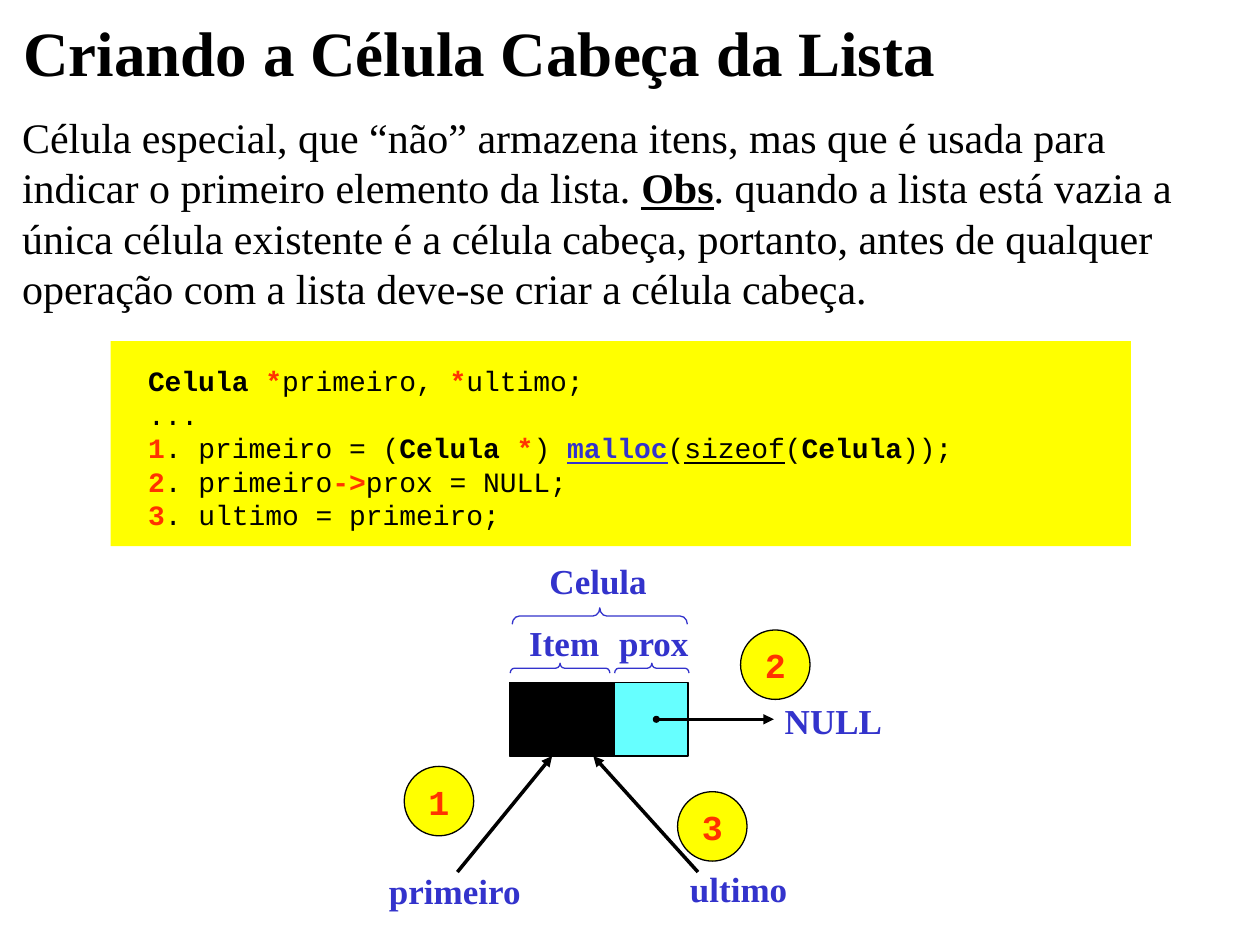
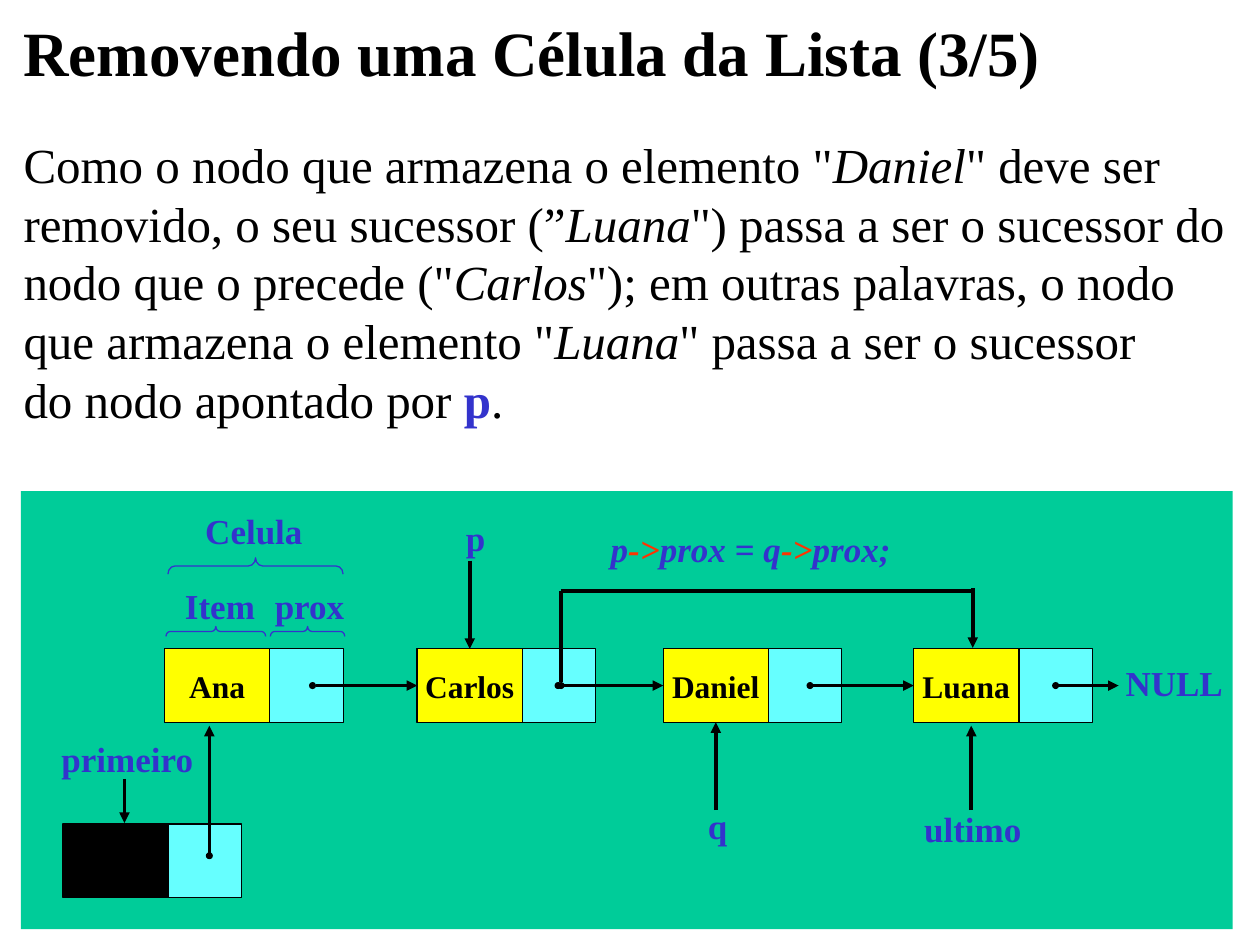
from pptx import Presentation
from pptx.dml.color import RGBColor
from pptx.enum.shapes import MSO_CONNECTOR, MSO_SHAPE
from pptx.enum.text import MSO_ANCHOR, MSO_AUTO_SIZE, PP_ALIGN
from pptx.oxml.ns import qn
from pptx.util import Cm, Pt
from lxml import etree

RECT, OVAL, BRACE = MSO_SHAPE.RECTANGLE, MSO_SHAPE.OVAL, MSO_SHAPE.LEFT_BRACE
LEFT, CENTER = PP_ALIGN.LEFT, PP_ALIGN.CENTER
TOP, MIDDLE = MSO_ANCHOR.TOP, MSO_ANCHOR.MIDDLE
GROW, FIXED = MSO_AUTO_SIZE.SHAPE_TO_FIT_TEXT, MSO_AUTO_SIZE.NONE
STRAIGHT = MSO_CONNECTOR.STRAIGHT
SIDE_TOP, SIDE_LEFT, SIDE_BOTTOM = 0, 1, 2

BLACK = RGBColor(0x00, 0x00, 0x00)
BLUE = RGBColor(0x33, 0x33, 0xCC)
RED = RGBColor(0xFF, 0x33, 0x00)
YELLOW = RGBColor(0xFF, 0xFF, 0x00)
CYAN = RGBColor(0x66, 0xFF, 0xFF)
GREEN = RGBColor(0x00, 0xCC, 0x99)
RUN_COLORS = {"red": RED, "blue": BLUE}

SERIF, MONO = "Times New Roman", "Courier New"
LINE_PITCH = 1.2
ITEM_W, PROX_W, CELL_H = 2.12, 1.48, 1.48
LABEL_H = 1.12
END_SIZES = {"oval": "sm", "triangle": "med"}


def add_runs(paragraph, runs, size, font=SERIF, color=BLACK, style=""):
    """Each run is a string or (string, style words: b, i, u, red, blue)."""
    for run_spec in runs:
        text, own_style = (run_spec, "") if isinstance(run_spec, str) else run_spec
        words = f"{style} {own_style}".split()
        run = paragraph.add_run()
        run.text = text
        run.font.name, run.font.size = font, Pt(size)
        run.font.bold, run.font.italic = "b" in words, "i" in words
        run.font.underline = "u" in words
        run.font.color.rgb = next(
            (RUN_COLORS[w] for w in words if w in RUN_COLORS), color)


def prepare_frame(shape, anchor=TOP, auto_size=GROW):
    frame = shape.text_frame
    frame.word_wrap = False
    frame.auto_size = auto_size
    frame.vertical_anchor = anchor
    return frame


def place(shape, x, y, width, height):
    shape.left, shape.top = Cm(x), Cm(y)
    shape.width, shape.height = Cm(width), Cm(height)


def add_titled_slide(prs, title):
    slide = prs.slides.add_slide(prs.slide_layouts[1])
    heading = slide.shapes.title
    place(heading, 0.22, 0.44, 22, 1.47)
    paragraph = prepare_frame(heading).paragraphs[0]
    paragraph.alignment = LEFT
    paragraph.line_spacing, paragraph.space_before = 0.8, Pt(6)
    add_runs(paragraph, [title], 36, style="b")
    return slide


def add_body_lines(frame, lines, size, font=SERIF, indent=0, gap_before=0):
    for number, runs in enumerate(lines):
        is_first = not frame.paragraphs[0].runs
        paragraph = frame.paragraphs[0] if is_first else frame.add_paragraph()
        paragraph.alignment = LEFT
        paragraph.line_spacing = Pt(size * LINE_PITCH)
        paragraph.space_before = Pt(0 if number else gap_before)
        properties = paragraph._p.get_or_add_pPr()
        properties.set("marL", str(Cm(indent)))
        properties.set("indent", "0")
        etree.SubElement(properties, qn("a:buNone"))
        add_runs(paragraph, runs, size, font)


def add_body(slide, x, y, width, height):
    body = slide.placeholders[1]
    place(body, x, y, width, height)
    return prepare_frame(body)


def add_box(slide, kind, x, y, width, height, fill=None, line=BLACK):
    box = slide.shapes.add_shape(kind, Cm(x), Cm(y), Cm(width), Cm(height))
    box.shadow.inherit = False
    if fill is None:
        box.fill.background()
    else:
        box.fill.solid()
        box.fill.fore_color.rgb = fill
    if line is None:
        box.line.fill.background()
    else:
        box.line.color.rgb = line
        box.line.width = Pt(0.75)
    return box


def add_panel(slide, x, y, width, height, fill):
    """Coloured area that lies behind everything else."""
    panel = add_box(slide, RECT, x, y, width, height, fill, line=None)
    slide.shapes._spTree.insert(2, panel._element)


def write_centred(box, text, size, font=SERIF, color=BLACK):
    paragraph = prepare_frame(box, MIDDLE, FIXED).paragraphs[0]
    paragraph.alignment = CENTER
    add_runs(paragraph, [text], size, font, color, "b")


def add_label(slide, runs, x, y, width, align=LEFT, style="b"):
    label = slide.shapes.add_textbox(Cm(x), Cm(y), Cm(width), Cm(LABEL_H))
    paragraph = prepare_frame(label).paragraphs[0]
    paragraph.alignment = align
    paragraph.line_spacing = Pt(20 * LINE_PITCH)
    add_runs(paragraph, runs, 20, color=BLUE, style=style)


def add_step(slide, number, x, y):
    circle = add_box(slide, OVAL, x, y, 1.4, 1.4, YELLOW)
    write_centred(circle, number, 20, MONO, RED)


def add_cell(slide, x, y, item_fill=YELLOW, name=None):
    """Draw an item field and its prox field; return the item field."""
    add_box(slide, RECT, x + ITEM_W, y, PROX_W, CELL_H, CYAN)
    item = add_box(slide, RECT, x, y, ITEM_W, CELL_H, item_fill)
    if name:
        write_centred(item, name, 18)
    return item


def add_brace(slide, center_x, center_y, span, depth):
    """Horizontal brace that points up."""
    brace = add_box(slide, BRACE, center_x - depth / 2, center_y - span / 2,
                    depth, span, line=BLUE)
    brace.adjustments[0] = 0.43
    brace.rotation = 90


def add_cell_legend(slide, x, celula_y, fields_y):
    """Name the cell that starts at x, and its two fields."""
    add_label(slide, ["Celula"], x + 0.29, celula_y, 3, CENTER)
    add_label(slide, ["Item"], x - 0.15, fields_y, 2.51, CENTER)
    add_label(slide, ["prox"], x + 1.96, fields_y, 2.2)
    add_brace(slide, x + 1.82, celula_y + 1.27, 3.53, 0.33)
    add_brace(slide, x + 1.02, fields_y + 1.07, 2.01, 0.2)
    add_brace(slide, x + 2.87, fields_y + 1.07, 1.5, 0.2)


def add_pointer(slide, start, end, head=None, tail="triangle", target=None, side=None):
    pointer = slide.shapes.add_connector(
        STRAIGHT, Cm(start[0]), Cm(start[1]), Cm(end[0]), Cm(end[1]))
    if target is not None:
        pointer.end_connect(target, side)
    pointer.line.color.rgb = BLACK
    pointer.line.width = Pt(2)
    outline = pointer.line._get_or_add_ln()
    for tag, shape in (("a:headEnd", head), ("a:tailEnd", tail)):
        if shape:
            size = END_SIZES[shape]
            etree.SubElement(outline, qn(tag), type=shape, w=size, len=size)
    etree.SubElement(pointer._element.spPr, qn("a:effectLst"))


def build_head_cell_slide(prs):
    slide = add_titled_slide(prs, "Criando a Célula Cabeça da Lista")
    add_panel(slide, 2.23, 6.88, 20.57, 4.13, YELLOW)
    frame = add_body(slide, 0.19, 2.12, 24.5, 8.74)
    add_body_lines(frame, [
        ["Célula especial, que “não” armazena itens, mas que é usada para"],
        ["indicar o primeiro elemento da lista. ", ("Obs", "b u"),
         ". quando a lista está vazia a"],
        ["única célula existente é a célula cabeça, portanto, antes de qualquer"],
        ["operação com a lista deve-se criar a célula cabeça."],
    ], 24)
    star = ("*", "b red")
    add_body_lines(frame, [
        [("Celula ", "b"), star, "primeiro, ", star, "ultimo;"],
        ["..."],
        [("1", "b red"), ". primeiro = (", ("Celula ", "b"), star, ") ",
         ("malloc", "b u blue"), "(", ("sizeof", "u"), "(", ("Celula", "b"), "));"],
        [("2", "b red"), ". primeiro", ("->", "b red"), "prox = NULL;"],
        [("3", "b red"), ". ultimo = primeiro;"],
    ], 16, MONO, indent=2.54, gap_before=24 * LINE_PITCH)

    cell_x, cell_y = 10.27, 13.76
    add_cell_legend(slide, cell_x, 11.15, 12.4)
    add_cell(slide, cell_x, cell_y, BLACK)
    add_label(slide, ["NULL"], 15.57, 13.97, 3)
    add_label(slide, ["primeiro"], 7.59, 17.4, 3.5)
    add_label(slide, ["ultimo"], 13.66, 17.36, 3)
    add_pointer(slide, (9.22, 17.58), (11.13, 15.24))
    add_pointer(slide, (14.07, 17.58), (11.96, 15.24))
    add_pointer(slide, (13.23, 14.5), (15.6, 14.5), head="oval")
    for number, x, y in (("1", 8.15, 15.45), ("2", 14.93, 12.7), ("3", 13.66, 15.96)):
        add_step(slide, number, x, y)


def build_removal_slide(prs):
    slide = add_titled_slide(prs, "Removendo uma Célula da Lista (3/5)")
    add_panel(slide, 0.42, 9.9, 24.43, 8.83, GREEN)
    add_body_lines(add_body(slide, 0.22, 2.58, 25.1, 6.2), [
        ['Como o nodo que armazena o elemento "', ("Daniel", "i"), '" deve ser'],
        ["removido, o seu sucessor (”", ("Luana", "i"), '") passa a ser o sucessor do'],
        ['nodo que o precede ("', ("Carlos", "i"), '"); em outras palavras, o nodo'],
        ['que armazena o elemento "', ("Luana", "i"), '" passa a ser o sucessor'],
        ["do nodo apontado por ", ("p", "b blue"), "."],
    ], 28)

    row_y = 13.08
    link_y = row_y + CELL_H / 2
    nodes = {name: add_cell(slide, x, row_y, name=name) for name, x in (
        ("Ana", 3.32), ("Carlos", 8.41), ("Daniel", 13.37), ("Luana", 18.42))}
    for start_x, end_x, successor in (
            (6.3, 8.41, "Carlos"), (11.25, 13.37, "Daniel"), (16.33, 18.42, "Luana")):
        add_pointer(slide, (start_x, link_y), (end_x, link_y), "oval",
                    target=nodes[successor], side=SIDE_LEFT)
    add_pointer(slide, (21.28, link_y), (22.55, link_y), "oval")
    add_cell_legend(slide, 3.33, 10.14, 11.66)

    # New link from Carlos to Luana, over Daniel
    bypass_left, bypass_right, bypass_y = 11.31, 19.61, 11.91
    add_pointer(slide, (bypass_left, bypass_y), (bypass_left, link_y), tail="oval")
    add_pointer(slide, (bypass_right, bypass_y), (bypass_left, bypass_y), tail=None)
    add_pointer(slide, (bypass_right, bypass_y - 0.05), (bypass_right, 13.06))
    add_label(slide, ["p", ("->", "red"), "prox = q", ("->", "red"), "prox;"],
              12.06, 10.51, 6.6, style="b i")

    add_cell(slide, 1.27, 16.61, BLACK)
    add_pointer(slide, (4.22, 17.25), (4.22, 14.63), "oval")
    add_pointer(slide, (2.51, 15.7), (2.51, 16.59))
    add_pointer(slide, (9.47, 11.3), (9.47, row_y),
                target=nodes["Carlos"], side=SIDE_TOP)
    add_pointer(slide, (14.43, 16.33), (14.43, row_y + CELL_H),
                target=nodes["Daniel"], side=SIDE_BOTTOM)
    add_pointer(slide, (19.58, 16.33), (19.58, 14.63))
    for variable, x, y, width in (
            ("p", 9.14, 10.29, 1.2), ("q", 14.02, 16.09, 1.2),
            ("NULL", 22.44, 13.22, 2.9), ("primeiro", 0.99, 14.74, 3.5),
            ("ultimo", 18.38, 16.15, 3)):
        add_label(slide, [variable], x, y, width)


def main():
    prs = Presentation()
    prs.slide_width, prs.slide_height = Cm(25.4), Cm(19.05)
    build_head_cell_slide(prs)
    build_removal_slide(prs)
    prs.save("out.pptx")


if __name__ == "__main__":
    main()
